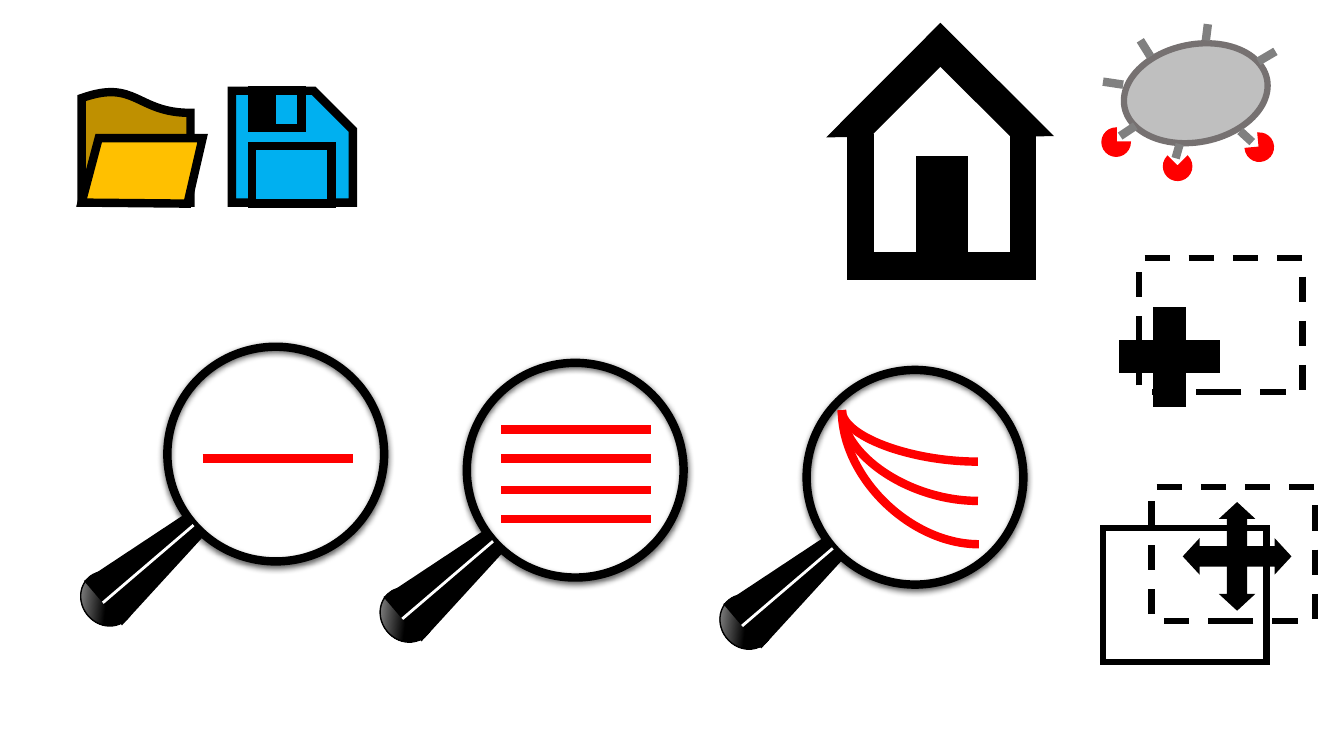
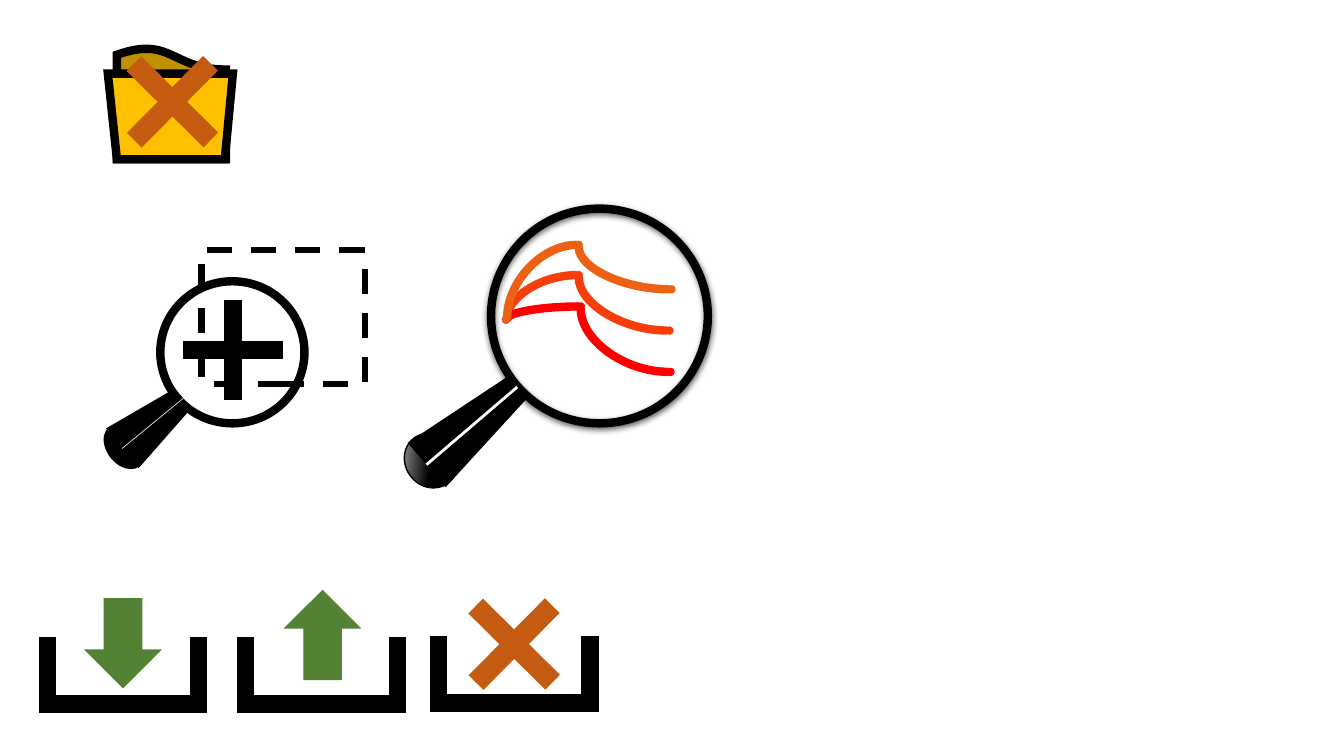
"""Build two slides of toolbar icons from native shapes."""
from lxml import etree
from pptx import Presentation
from pptx.dml.color import RGBColor
from pptx.enum.dml import MSO_LINE
from pptx.enum.shapes import MSO_CONNECTOR, MSO_SHAPE
from pptx.oxml.ns import qn
from pptx.util import Inches, Pt

OVAL, RECTANGLE, PIE = MSO_SHAPE.OVAL, MSO_SHAPE.RECTANGLE, MSO_SHAPE.PIE
TRAPEZOID, CROSS, CORNER = MSO_SHAPE.TRAPEZOID, MSO_SHAPE.CROSS, MSO_SHAPE.CORNER
QUAD_ARROW, DOWN_ARROW = MSO_SHAPE.QUAD_ARROW, MSO_SHAPE.DOWN_ARROW
HALF_FRAME, SNIPPED = MSO_SHAPE.HALF_FRAME, MSO_SHAPE.SNIP_1_RECTANGLE
DOCUMENT = MSO_SHAPE.FLOWCHART_DOCUMENT
STRAIGHT, CURVE = MSO_CONNECTOR.STRAIGHT, MSO_CONNECTOR.CURVE
DASH = MSO_LINE.DASH

BLACK = RGBColor(0x00, 0x00, 0x00)
WHITE = RGBColor(0xFF, 0xFF, 0xFF)
RED = RGBColor(0xFF, 0x00, 0x00)
VERMILION = RGBColor(0xF6, 0x3D, 0x0A)
ORANGE = RGBColor(0xEC, 0x61, 0x14)
RUST = RGBColor(0xC5, 0x5A, 0x11)
GREEN = RGBColor(0x54, 0x82, 0x35)
BLUE = RGBColor(0x00, 0xB0, 0xF0)
DOT_BLUE = RGBColor(0x5B, 0x9B, 0xD5)
GOLD = RGBColor(0xFF, 0xC0, 0x00)
DARK_GOLD = RGBColor(0xBF, 0x90, 0x00)
SILVER = RGBColor(0xBF, 0xBF, 0xBF)
LEG_GRAY = RGBColor(0x80, 0x80, 0x80)
BODY_GRAY = RGBColor(0x76, 0x71, 0x71)
PALE_GRAY = RGBColor(0xE7, 0xE6, 0xE6)

THIN, FRAME, THICK = 1, 4.5, 6
MARQUEE_SIZE = (1.62, 1.33)


def style(shape, fill, line, width, dash=None):
    """Set fill and outline of a shape and drop its shadow."""
    shape.shadow.inherit = False
    if fill is None:
        shape.fill.background()
    else:
        shape.fill.solid()
        shape.fill.fore_color.rgb = fill
    if line is None:
        shape.line.fill.background()
        return
    shape.line.color.rgb = line
    shape.line.width = Pt(width)
    if dash is not None:
        shape.line.dash_style = dash
    outline = shape.element.spPr.find(qn("a:ln"))
    etree.SubElement(outline, qn("a:miter"), lim="800000")


def add_figure(shapes, kind, at, fill=None, line=BLACK, width=THIN,
               turn=0, adjust=(), flip=None, dash=None):
    """Add a styled preset shape at (left, top, width, height)."""
    shape = shapes.add_shape(kind, *map(Inches, at))
    for index, value in enumerate(adjust):
        shape.adjustments[index] = value
    shape.rotation = turn
    if flip:
        shape.element.spPr.find(qn("a:xfrm")).set(flip, "1")
    style(shape, fill, line, width, dash)
    return shape


def add_line(shapes, start, end, color, width=THICK, kind=STRAIGHT):
    """Add a connector without a shadow."""
    line = shapes.add_connector(kind, *map(Inches, (*start, *end)))
    line.line.color.rgb = color
    line.line.width = Pt(width)
    etree.SubElement(line.element.spPr, qn("a:effectLst"))
    return line


def add_curve(shapes, start, end, color):
    """Add a quarter curve that leaves start upright and reaches end level."""
    curve = add_line(shapes, end, start, color, kind=CURVE)
    curve.element.spPr.find(qn("a:prstGeom")).set("prst", "curvedConnector2")


def add_outline(shapes, points, fill):
    """Add a closed polygon with a thick black outline."""
    corners = [(Inches(x), Inches(y)) for x, y in points]
    builder = shapes.build_freeform(*corners[0])
    builder.add_line_segments(corners[1:], close=True)
    style(builder.convert_to_shape(), fill, BLACK, THICK)


def add_group(page):
    """Start an icon group and return its shapes."""
    return page.shapes.add_group_shape().shapes


def add_lens_shadow(lens):
    """Give the lens a soft shadow below."""
    effects = lens.element.spPr.find(qn("a:effectLst"))
    shadow = etree.SubElement(
        effects, qn("a:outerShdw"), blurRad=str(Pt(4.5)), dist=str(Pt(1.5)),
        dir="5400000", algn="ctr", rotWithShape="0")
    color = etree.SubElement(shadow, qn("a:srgbClr"), val=str(BLACK))
    etree.SubElement(color, qn("a:alpha"), val="63000")


def add_magnifier(shapes, left, top):
    """Add a large magnifier whose lens starts at left, top."""
    lens = add_figure(shapes, OVAL, (left, top, 2.15, 2.13), width=THICK)
    add_lens_shadow(lens)
    cap = add_figure(shapes, OVAL, (left - 0.85, top + 2.22, 0.51, 0.56),
                     BLACK, turn=321.8)
    cap.fill.gradient()
    cap.fill.gradient_angle = 315
    for stop, color, position in zip(cap.fill.gradient_stops,
                                     (SILVER, BLACK), (0, 0.5)):
        stop.color.rgb = color
        stop.position = position
    add_figure(shapes, TRAPEZOID, (left - 0.48, top + 1.57, 0.58, 1.18),
               BLACK, None, turn=49.5)
    add_line(shapes, (left - 0.64, top + 2.54), (left + 0.26, top + 1.77),
             WHITE, 2)


def add_small_magnifier(page):
    """Add the small magnifier with a plus and a selection frame."""
    shapes = add_group(page)
    add_figure(shapes, OVAL, (1.06, 4.19, 0.34, 0.49), BLACK, None, turn=321.8)
    add_figure(shapes, OVAL, (1.59, 2.79, 1.43, 1.41), width=THICK)
    add_figure(shapes, TRAPEZOID, (1.26, 3.81, 0.51, 0.78), BLACK, None,
               turn=50.6)
    add_line(shapes, (1.21, 4.45), (1.82, 3.95), PALE_GRAY, 0.5)
    add_plus(shapes, 1.82, 2.98, 0.417)
    add_marquee(shapes, 2, 2.48, DASH)


def add_plus(shapes, left, top, inset):
    """Add a black plus sign."""
    add_figure(shapes, CROSS, (left, top, 0.98, 0.98), BLACK, adjust=(inset,))


def add_marquee(shapes, left, top, dash=None):
    """Add an unfilled selection frame."""
    add_figure(shapes, RECTANGLE, (left, top, *MARQUEE_SIZE), width=FRAME,
               dash=dash)


def add_walls(shapes, left, top, width, height, offset):
    """Add two mirrored corners that form an open box."""
    for x, flip in ((left, None), (left + offset, "flipH")):
        add_figure(shapes, CORNER, (x, top, width, height), BLACK,
                   adjust=(0.223, 0.212), flip=flip)


def add_tray(page, left, top):
    """Add an open tray and return the shapes of its group."""
    shapes = add_group(page)
    add_walls(shapes, left, top, 1.04, 0.74, 0.62)
    return shapes


def add_green_arrow(shapes, left, top, flip=None):
    """Add a green arrow that points down unless flipped."""
    add_figure(shapes, DOWN_ARROW, (left, top, 0.74, 0.88), GREEN, GREEN,
               flip=flip)


def add_delete_mark(shapes, left, top):
    """Add a rust-coloured diagonal cross."""
    add_figure(shapes, QUAD_ARROW, (left, top, 1.06, 1.06), RUST, RUST,
               turn=314.7, adjust=(0.399, 0.091, 0))


def add_folder(page, left, top, front):
    """Add a folder with a wavy back and return its group's shapes."""
    shapes = add_group(page)
    add_figure(shapes, DOCUMENT, (left, top, 1.08, 1.11), DARK_GOLD,
               width=THICK, flip="flipV")
    add_outline(shapes, front, GOLD)
    return shapes


def add_bug(page):
    """Add the gray bug with legs and red feet."""
    shapes = add_group(page)
    add_figure(shapes, OVAL, (11.14, 0.44, 1.44, 0.97), SILVER, BODY_GRAY,
               FRAME, turn=348.9)
    for left, top, turn in ((10.93, 1.27, 0), (11.54, 1.51, 314.5),
                            (12.35, 1.32, 264.6)):
        add_figure(shapes, PIE, (left, top, 0.28, 0.28), RED, RED, turn=turn)
    legs = (((11.7, 1.43), (11.66, 1.57)), ((12.3, 1.3), (12.42, 1.41)),
            ((11.26, 1.25), (11.11, 1.35)), ((11.14, 0.84), (10.94, 0.81)),
            ((11.98, 0.24), (11.96, 0.4)), ((12.65, 0.51), (12.48, 0.61)),
            ((11.31, 0.4), (11.41, 0.56)))
    for start, end in legs:
        add_line(shapes, start, end, LEG_GRAY)


def add_move_icon(page):
    """Add two frames and a four-way arrow."""
    shapes = add_group(page)
    add_marquee(shapes, 11.42, 4.83, DASH)
    add_marquee(shapes, 10.94, 5.24)
    add_figure(shapes, QUAD_ARROW, (11.74, 4.99, 1.06, 1.06), BLACK,
               adjust=(0.177, 0.154, 0.142))


def add_disk(page):
    """Add the blue floppy disk."""
    shapes = add_group(page)
    add_figure(shapes, SNIPPED, (2.3, 0.9, 1.2, 1.11), BLUE, width=THICK,
               adjust=(0.351,))
    for at, fill in (((2.5, 0.9, 0.49, 0.37), BLUE),
                     ((2.5, 0.9, 0.2, 0.37), BLACK),
                     ((2.5, 1.45, 0.79, 0.57), BLUE)):
        add_figure(shapes, RECTANGLE, at, fill, width=THICK)


def add_house(page):
    """Add the house with walls, roof and door."""
    shapes = add_group(page)
    add_walls(shapes, 8.41, 1.34, 1.17, 1.43, 0.69)
    add_figure(shapes, HALF_FRAME, (8.54, 0.56, 1.57, 1.58), BLACK, turn=44.9,
               adjust=(0.188, 0.187))
    add_figure(shapes, RECTANGLE, (9.09, 1.55, 0.5, 1.05), BLACK)


def add_wave(shapes, apex, end, color):
    """Add a two-part curve with round joints through apex to end."""
    for x, y in (apex, (5.02, 3.17), end):
        add_figure(shapes, OVAL, (x - 0.02, y - 0.02, 0.04, 0.04), DOT_BLUE,
                   color, 3)
    add_curve(shapes, (5.03, 3.16), (apex[0] - 0.02, apex[1]), color)
    add_curve(shapes, (apex[0], apex[1] + 0.02), (end[0] - 0.02, end[1]),
              color)


def build_tools_page(page):
    """Fill the first slide."""
    add_bug(page)
    add_move_icon(page)
    add_folder(page, 0.81, 0.9,
               ((0.81, 2.01), (0.98, 1.37), (2.01, 1.37), (1.86, 2.02)))
    add_disk(page)
    add_house(page)
    selection = add_group(page)
    add_plus(selection, 11.11, 3.05, 0.34)
    add_marquee(selection, 11.3, 2.56, DASH)
    for left, top, line_left, heights in (
            (1.66, 3.44, 2.01, (4.55,)),
            (4.63, 3.6, 4.97, (4.26, 4.55, 4.86, 5.15))):
        shapes = add_group(page)
        add_magnifier(shapes, left, top)
        for y in heights:
            add_line(shapes, (line_left, y), (line_left + 1.49, y), RED)
    shapes = add_group(page)
    add_magnifier(shapes, 8, 3.67)
    for end in ((9.7, 4.97), (9.71, 5.4), (9.7, 4.58)):
        add_curve(shapes, (8.35, 4.07), end, RED)


def build_files_page(page):
    """Fill the second slide."""
    waves = add_group(page)
    add_wave(waves, (5.74, 2.73), (6.64, 3.28), VERMILION)
    add_wave(waves, (5.76, 3.04), (6.65, 3.69), RED)
    add_wave(waves, (5.74, 2.43), (6.66, 2.87), ORANGE)
    add_magnifier(waves, 4.87, 2.07)
    add_green_arrow(add_tray(page, 0.39, 6.33), 0.85, 5.94)
    add_delete_mark(add_tray(page, 4.27, 6.32), 4.57, 5.86)
    add_green_arrow(add_tray(page, 2.36, 6.33), 2.83, 5.86, "flipV")
    folder = add_folder(page, 1.16, 0.47, ((1.16, 1.58), (1.07, 0.73),
                                           (2.31, 0.73), (2.23, 1.58)))
    add_delete_mark(folder, 1.18, 0.48)
    add_small_magnifier(page)


def main():
    """Build and save the deck."""
    deck = Presentation()
    deck.slide_width, deck.slide_height = Inches(13.33), Inches(7.5)
    blank = deck.slide_layouts.get_by_name("Blank")
    for build in (build_tools_page, build_files_page):
        build(deck.slides.add_slide(blank))
    deck.save("out.pptx")


main()
